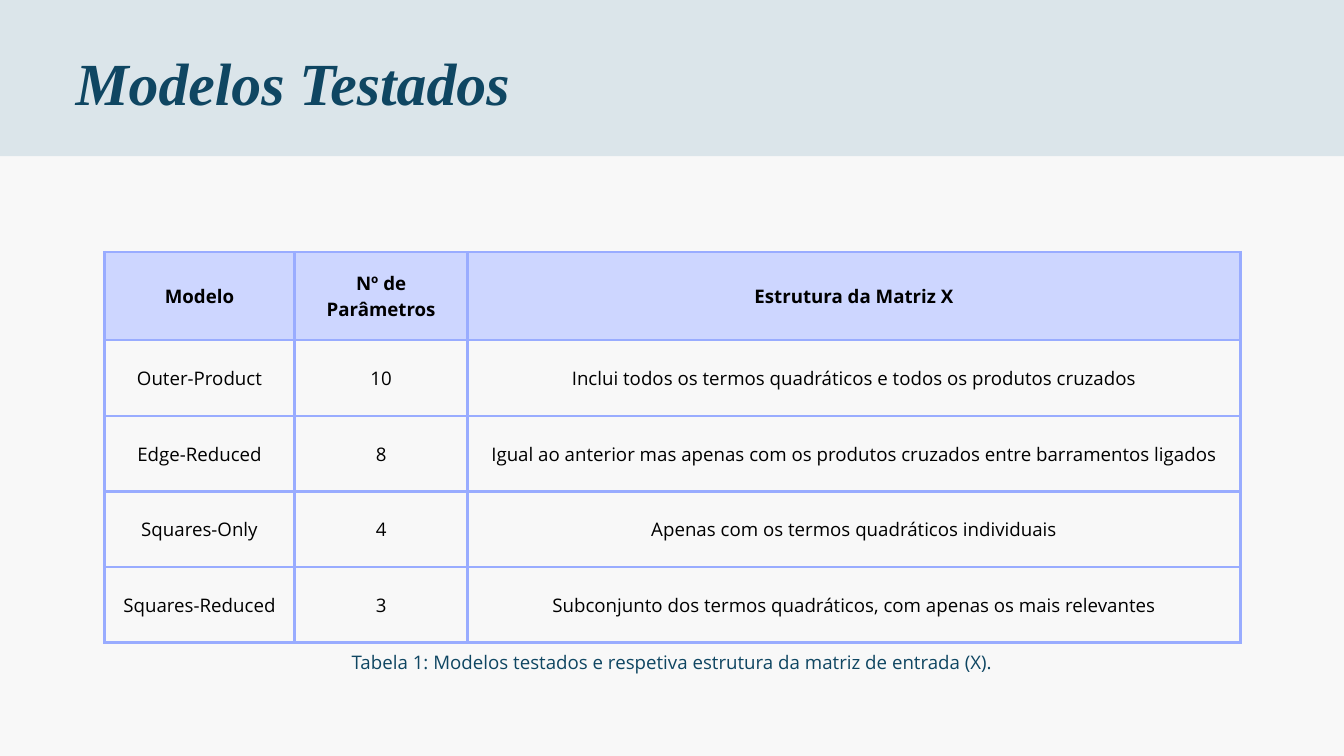
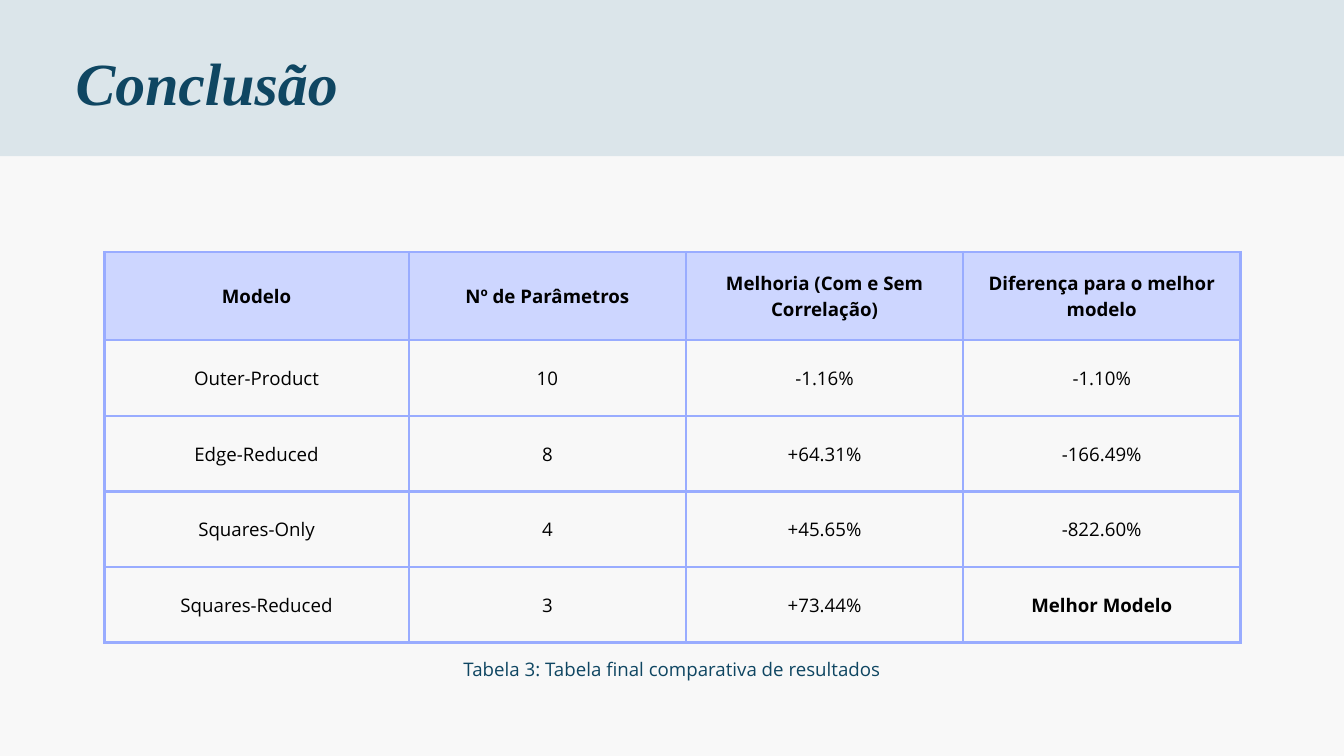
from lxml import etree
from pptx import Presentation
from pptx.dml.color import RGBColor
from pptx.enum.shapes import MSO_SHAPE
from pptx.enum.text import MSO_ANCHOR, PP_ALIGN
from pptx.oxml.ns import qn
from pptx.util import Emu, Pt

RECTANGLE = MSO_SHAPE.RECTANGLE
MIDDLE = MSO_ANCHOR.MIDDLE
LEFT, CENTER = PP_ALIGN.LEFT, PP_ALIGN.CENTER

SLIDE_W, SLIDE_H = 1920, 1080
BAND_H = 223
HEADER_H, ROW_H = 126, 108
CELL_PAD = 20
BORDER_PT = 3
LEADING = 1.4

PAPER, BAND, NAVY, BLACK = "F8F8F8", "DBE5EA", "0F4662", "000000"
HEADER_FILL, BORDER = "CDD6FF", "99ACFF"
TITLE_FONT, BODY_FONT = "Times New Roman", "Open Sans"

MODELS = [("Outer-Product", "10"), ("Edge-Reduced", "8"),
          ("Squares-Only", "4"), ("Squares-Reduced", "3")]
STRUCTURES = [
    ("Inclui todos os termos quadráticos e todos os produtos cruzados",),
    ("Igual ao anterior mas apenas com os produtos cruzados entre barramentos ligados",),
    ("Apenas com os termos quadráticos individuais",),
    ("Subconjunto dos termos quadráticos, com apenas os mais relevantes",),
]
BEST = "Melhor Modelo"
RESULTS = [("-1.16%", "-1.10%"), ("+64.31%", "-166.49%"),
           ("+45.65%", "-822.60%"), ("+73.44%", BEST)]


def px(n):
    return Emu(n * 9525)


def color(value):
    return RGBColor.from_string(value)


def write(tf, text, size=20, font=BODY_FONT, fill=BLACK, bold=False,
          italic=False, align=CENTER):
    tf.word_wrap = True
    p = tf.paragraphs[0]
    p.alignment = align
    p.line_spacing = Pt(size * LEADING)
    r = p.add_run()
    r.text = text
    r.font.name = font
    r.font.size = Pt(size)
    r.font.bold = bold
    r.font.italic = italic
    r.font.color.rgb = color(fill)


def add_text(s, box, text, **style):
    tf = s.shapes.add_textbox(*map(px, box)).text_frame
    tf.margin_left = tf.margin_right = tf.margin_top = tf.margin_bottom = 0
    write(tf, text, **style)


def add_title_band(s, box, title):
    x, y, w, h = box
    band = s.shapes.add_shape(RECTANGLE, *map(px, box))
    band.shadow.inherit = False
    band.fill.solid()
    band.fill.fore_color.rgb = color(BAND)
    band.line.fill.background()
    add_text(s, (x + 108, y + 49, w - 2 * 108, h - 109), title, size=64,
             font=TITLE_FONT, fill=NAVY, bold=True, italic=True, align=LEFT)


def set_borders(cell):
    """Draw all four edges; call before filling, as edges come first in tcPr."""
    tc_pr = cell._tc.get_or_add_tcPr()
    for side in "LRTB":
        ln = etree.SubElement(tc_pr, qn(f"a:ln{side}"), w=str(Pt(BORDER_PT)))
        fill = etree.SubElement(ln, qn("a:solidFill"))
        etree.SubElement(fill, qn("a:srgbClr"), val=BORDER)


def fill_cell(cell, text, header):
    set_borders(cell)
    if header:
        cell.fill.solid()
        cell.fill.fore_color.rgb = color(HEADER_FILL)
    else:
        cell.fill.background()
    cell.vertical_anchor = MIDDLE
    cell.margin_left = cell.margin_right = px(CELL_PAD)
    cell.margin_top = cell.margin_bottom = px(CELL_PAD)
    write(cell.text_frame, text, bold=header or text == BEST)


def add_model_table(s, left, top, widths, headers, details):
    rows = [headers] + [model + detail for model, detail in zip(MODELS, details)]
    heights = [HEADER_H] + [ROW_H] * len(MODELS)
    box = (left, top, sum(widths), sum(heights))
    table = s.shapes.add_table(len(rows), len(widths), *map(px, box)).table
    table.first_row = table.horz_banding = False
    for column, width in zip(table.columns, widths):
        column.width = px(width)
    for i, (row, height) in enumerate(zip(table.rows, heights)):
        row.height = px(height)
        for cell, text in zip(row.cells, rows[i]):
            fill_cell(cell, text, header=i == 0)


def add_table_slide(prs, title, widths, headers, details, caption, caption_y):
    s = prs.slides.add_slide(prs.slide_layouts[6])
    s.background.fill.solid()
    s.background.fill.fore_color.rgb = color(PAPER)
    add_title_band(s, (0, 0, SLIDE_W, BAND_H), title)
    add_model_table(s, 149, 360, widths, headers, details)
    add_text(s, (436, caption_y, 1048, 36), caption, fill=NAVY)


def main():
    prs = Presentation()
    prs.slide_width, prs.slide_height = px(SLIDE_W), px(SLIDE_H)
    add_table_slide(
        prs, "Modelos Testados", [272, 247, 1104],
        ("Modelo", "Nº de Parâmetros", "Estrutura da Matriz X"), STRUCTURES,
        "Tabela 1: Modelos testados e respetiva estrutura da matriz de entrada (X).", 924)
    add_table_slide(
        prs, "Conclusão", [435] + [396] * 3,
        ("Modelo", "Nº de Parâmetros", "Melhoria (Com e Sem Correlação)",
         "Diferença para o melhor modelo"), RESULTS,
        "Tabela 3: Tabela final comparativa de resultados", 935)
    prs.save("out.pptx")


if __name__ == "__main__":
    main()
